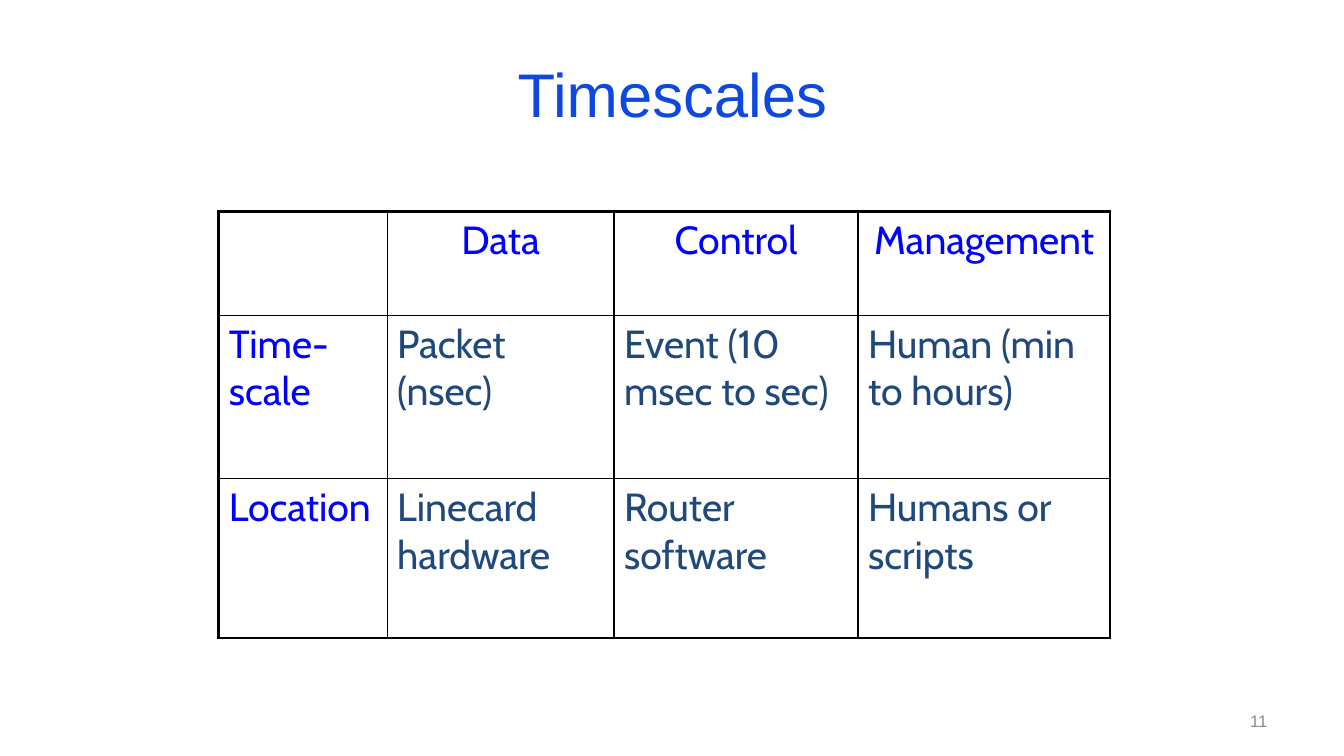
from lxml.etree import SubElement as Sub
from pptx import Presentation
from pptx.dml.color import RGBColor
from pptx.enum.text import MSO_ANCHOR as Anchor, PP_ALIGN as Align
from pptx.oxml.ns import qn
from pptx.util import Inches, Pt

TITLE = RGBColor(0x0D, 0x49, 0xE1)
HEAD = RGBColor(0x00, 0x00, 0xFF)
BODY = RGBColor(0x1F, 0x49, 0x7D)
GRAY = RGBColor(0x8C, 0x8C, 0x8C)
BLACK = RGBColor(0x00, 0x00, 0x00)

THIN, THICK = Pt(1), Pt(2.25)
COLS = [1.67, 2.25, 2.42, 2.5]
ROWS = [1.03, 1.62, 1.58]
CELLS = [
    ["", "Data", "Control", "Management"],
    ["Time-scale", "Packet (nsec)", "Event (10 msec to sec)", "Human (min to hours)"],
    ["Location", "Linecard hardware", "Router software", "Humans or scripts"],
]


def write(frame, text, align, color, form):
    para = frame.paragraphs[0]
    para.alignment = align
    run = para.add_run()
    run.text = text
    for key, value in form.items():
        setattr(run.font, key, value)
    run.font.color.rgb = color


def add_text(slide, text, area, align, color, form):
    box = slide.shapes.add_textbox(*map(Inches, area))
    frame = box.text_frame
    for key, value in {"word_wrap": True, "vertical_anchor": Anchor.MIDDLE}.items():
        setattr(frame, key, value)
    write(frame, text, align, color, form)


def add_edge(cell, side, width):
    props = cell._tc.get_or_add_tcPr()
    line = Sub(props, qn(f"a:ln{side}"), w=str(width))
    fill = Sub(line, qn("a:solidFill"))
    Sub(fill, qn("a:srgbClr"), val=str(BLACK))


def add_grid(slide):
    area = map(Inches, (2.17, 2.1, sum(COLS), sum(ROWS)))
    grid = slide.shapes.add_table(len(ROWS), len(COLS), *area).table
    for key in ("first_row", "horz_banding"):
        setattr(grid, key, False)
    for col, width in zip(grid.columns, COLS):
        col.width = Inches(width)
    for row, height in zip(grid.rows, ROWS):
        row.height = Inches(height)

    form = {"name": "Cabin", "size": Pt(28), "bold": False}
    for y, texts in enumerate(CELLS):
        for x, text in enumerate(texts):
            cell = grid.cell(y, x)
            outer = {
                "L": x == 0,
                "R": x == len(COLS) - 1,
                "T": y == 0,
                "B": y == len(ROWS) - 1,
            }
            for side, edge in outer.items():
                add_edge(cell, side, THICK if edge else THIN)
            cell.fill.background()
            if text:
                align = Align.CENTER if y == 0 else Align.LEFT
                color = BODY if x and y else HEAD
                write(cell.text_frame, text, align, color, form)


def main():
    deck = Presentation()
    deck.slide_width, deck.slide_height = Inches(13.33), Inches(7.5)
    slide = deck.slides.add_slide(deck.slide_layouts[6])
    add_text(slide, "Timescales", (0.67, 0.3, 12, 1.25), Align.CENTER, TITLE,
             {"name": "Arial", "size": Pt(44)})
    add_grid(slide)
    add_text(slide, "11", (9.56, 6.95, 3.11, 0.4), Align.RIGHT, GRAY,
             {"name": "Arial", "size": Pt(12)})
    deck.save("out.pptx")


if __name__ == "__main__":
    main()
